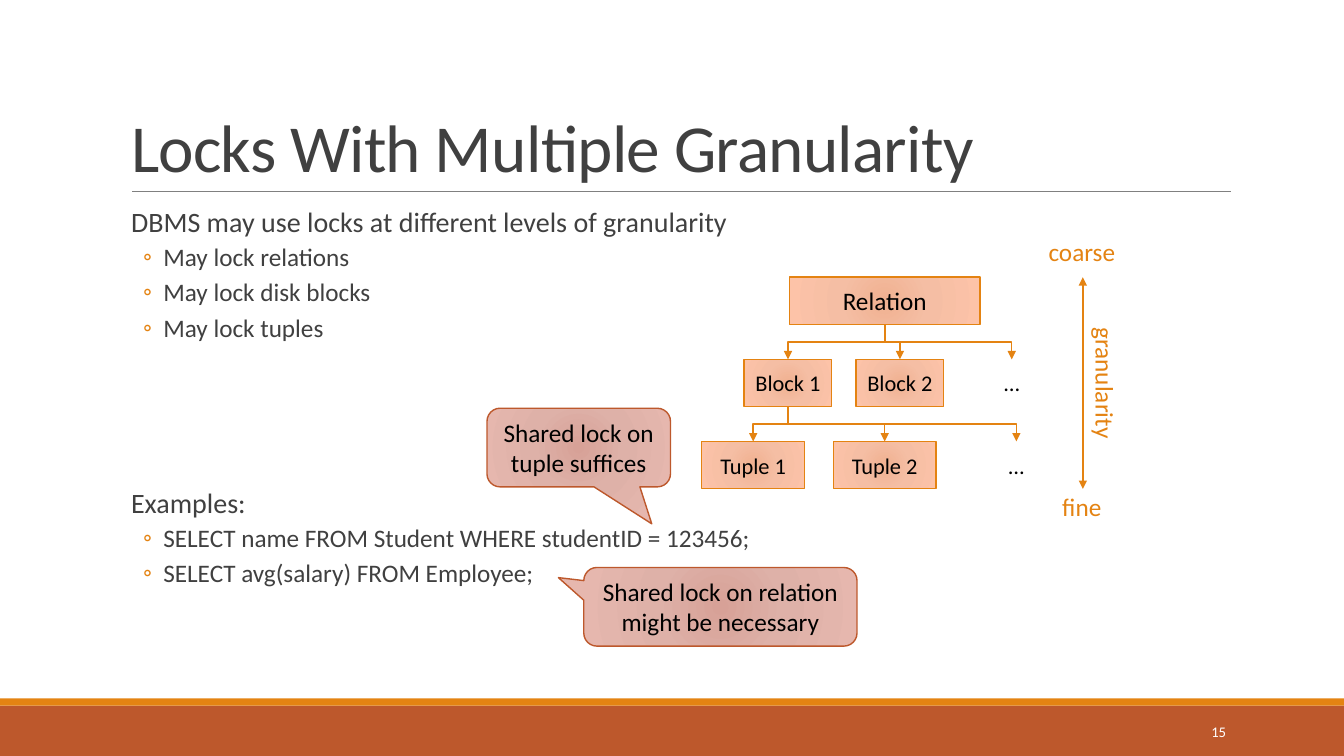
from lxml import etree
from pptx import Presentation
from pptx.dml.color import RGBColor
from pptx.enum.shapes import MSO_CONNECTOR, MSO_SHAPE
from pptx.enum.text import MSO_ANCHOR, MSO_AUTO_SIZE, PP_ALIGN
from pptx.oxml import parse_xml
from pptx.oxml.ns import qn
from pptx.util import Inches, Pt

RECT, CALLOUT = MSO_SHAPE.RECTANGLE, MSO_SHAPE.ROUNDED_RECTANGULAR_CALLOUT
STRAIGHT, ELBOW = MSO_CONNECTOR.STRAIGHT, MSO_CONNECTOR.ELBOW
LEFT, CENTER, RIGHT = PP_ALIGN.LEFT, PP_ALIGN.CENTER, PP_ALIGN.RIGHT
TOP, MIDDLE, BOTTOM = MSO_ANCHOR.TOP, MSO_ANCHOR.MIDDLE, MSO_ANCHOR.BOTTOM

COLORS = {"text": "404040", "black": "000000", "white": "FFFFFF", "rule": "808080",
          "orange": "E48312", "rust": "BD582C"}
GRADIENTS = {"orange": ("F0B191", "F5BEA4", "FDC3A8"), "rust": ("D7A197", "DEB1A8", "E6B7AE")}

TITLE = "Locks With Multiple Granularity"
PAGE = "15"
BODY = [
    (0, "DBMS may use locks at different levels of granularity"),
    (1, "May lock relations"),
    (1, "May lock disk blocks"),
    (1, "May lock tuples"),
    (0, "Examples:"),
    (1, "SELECT name FROM Student WHERE studentID = 123456;"),
    (1, "SELECT avg(salary) FROM Employee;"),
]
LEVELS = [dict(size=20, indent=0.1, before=100.8, after=2),
          dict(size=18, indent=0.42, before=2, after=4)]
CALLOUTS = [
    ("Shared lock on tuple suffices", (4.83, 4.05, 1.82, 0.78), (0.398, 0.97, 0.167)),
    ("Shared lock on relation might be necessary", (5.79, 5.63, 2.71, 0.78),
     (-0.593, -0.371, 0.167)),
]
TREE = [
    dict(labels=["Relation"], left=7.83, width=1.89, step=0, size=18),
    dict(labels=["Block 1", "Block 2", "…"], left=7.38, width=0.87, step=1.11, size=16),
    dict(labels=["Tuple 1", "Tuple 2", "…"], left=6.96, width=1.02, step=1.305, size=16),
]
TREE_TOP, ROW_STEP, NODE_HEIGHT = 2.75, 0.815, 0.47
SCALE_X = 10.74
SCALE_LABELS = [("coarse", (10.28, 2.3, 0.9, 0.4), 0), ("granularity", (10.31, 3.6, 1.31, 0.4), 90),
                ("fine", (10.43, 4.83, 0.6, 0.4), 0)]

prs = Presentation()
prs.slide_width, prs.slide_height = Inches(13.33), Inches(7.5)
s = prs.slides.add_slide(prs.slide_layouts[5])


def rgb(name):
    return RGBColor.from_string(COLORS[name])


def write(p, text, size=18, color="black", align=CENTER, spacing=None):
    p.alignment = align
    if spacing:
        p.line_spacing = spacing
    r = p.add_run()
    r.text = text
    r.font.size, r.font.name = Pt(size), "Calibri"
    r.font.color.rgb = rgb(color)
    return r


def frame(sp, anchor=MIDDLE, wrap=True):
    tf = sp.text_frame
    tf.auto_size = MSO_AUTO_SIZE.NONE
    tf.word_wrap, tf.vertical_anchor = wrap, anchor
    return tf


def text_box(box, anchor=MIDDLE, wrap=True):
    return frame(s.shapes.add_textbox(*map(Inches, box)), anchor, wrap)


def shape(kind, box, color, gradient=False):
    sp = s.shapes.add_shape(kind, *map(Inches, box))
    sp.shadow.inherit = False
    sp.fill.solid()
    sp.fill.fore_color.rgb = rgb(color)
    if not gradient:
        sp.line.fill.background()
        return sp
    sp.line.color.rgb, sp.line.width = rgb(color), Pt(1)
    stops = "".join(f'<a:gs pos="{pos}"><a:srgbClr val="{c}"/></a:gs>'
                    for pos, c in zip((0, 45000, 100000), GRADIENTS[color]))
    spPr = sp.element.spPr
    spPr.replace(spPr.find(qn("a:solidFill")), parse_xml(
        '<a:gradFill xmlns:a="http://schemas.openxmlformats.org/drawingml/2006/main">'
        f'<a:gsLst>{stops}</a:gsLst><a:path path="circle">'
        '<a:fillToRect l="50000" t="50000" r="50000" b="50000"/></a:path></a:gradFill>'))
    return sp


def connect(kind, start, end, color="orange", width=1, arrows=()):
    c = s.shapes.add_connector(kind, *map(Inches, start + end))
    c.line.color.rgb, c.line.width = rgb(color), Pt(width)
    for name in arrows:
        etree.SubElement(c.line._get_or_add_ln(), qn(f"a:{name}"), type="triangle")
    etree.SubElement(c._element.spPr, qn("a:effectLst"))
    return c


def branch(start, end):
    (x1, y1), (x2, y2) = start, end
    cx, cy = (x1 + x2) / 2, (y1 + y2) / 2
    half_w, half_h = (y2 - y1) / 2, abs(x2 - x1) / 2
    side = 1 if x2 > x1 else -1
    c = connect(ELBOW, (cx + side * half_w, cy - half_h), (cx - side * half_w, cy + half_h),
                arrows=["tailEnd"])
    c._element.spPr.xfrm.set("rot", str((270 if side > 0 else 90) * 60000))


shape(RECT, (0, 7, 13.33, 0.5), "rust")
shape(RECT, (0, 6.93, 13.33, 0.07), "orange")
connect(STRAIGHT, (1.31, 1.9), (12.21, 1.9), "rule", 0.5)

title = s.shapes.title
title.left, title.top, title.width, title.height = map(Inches, (1.2, 0.31, 11, 1.59))
r = write(frame(title, BOTTOM).paragraphs[0], TITLE, size=48, color="text", align=LEFT, spacing=0.85)
r.font._element.set("spc", "-50")

tf = text_box((1.2, 2.02, 11, 4.4), TOP)
tf.margin_left = tf.margin_right = 0
for i, (level, text) in enumerate(BODY):
    p = tf.add_paragraph() if i else tf.paragraphs[0]
    style = LEVELS[level]
    pPr = p._p.get_or_add_pPr()
    pPr.set("marL", str(Inches(style["indent"])))
    pPr.set("indent", str(Inches(-0.2 * level)))
    p.space_before = Pt(style["before"] if i else 0)
    p.space_after = Pt(style["after"])
    if level:
        bullet_color = etree.SubElement(pPr, qn("a:buClr"))
        etree.SubElement(bullet_color, qn("a:srgbClr"), val=COLORS["orange"])
        etree.SubElement(pPr, qn("a:buFont"), typeface="Calibri")
        etree.SubElement(pPr, qn("a:buChar"), char="◦")
    write(p, text, size=style["size"], color="text", align=LEFT, spacing=0.9)

write(text_box((10.83, 7.06, 1.43, 0.4)).paragraphs[0], PAGE, size=10.5, color="white", align=RIGHT)

for text, box, adjustments in CALLOUTS:
    sp = shape(CALLOUT, box, "rust", gradient=True)
    for i, value in enumerate(adjustments):
        sp.adjustments[i] = value
    write(frame(sp).paragraphs[0], text)

parent = None
for depth, row in enumerate(TREE):
    top = TREE_TOP + depth * ROW_STEP
    half = row["width"] / 2
    for i, label in enumerate(row["labels"]):
        left = row["left"] + i * row["step"]
        box = (left, top, row["width"], NODE_HEIGHT)
        tf = text_box(box) if label == "…" else frame(shape(RECT, box, "orange", gradient=True))
        write(tf.paragraphs[0], label, size=row["size"])
        if parent:
            branch(parent, (left + half, top))
    parent = (row["left"] + half, top + NODE_HEIGHT)

connect(STRAIGHT, (SCALE_X, TREE_TOP), (SCALE_X, parent[1]), arrows=["headEnd", "tailEnd"])
for text, box, angle in SCALE_LABELS:
    tf = text_box(box, TOP, wrap=False)
    tf._parent.rotation = angle
    write(tf.paragraphs[0], text, color="orange")

prs.save("out.pptx")
